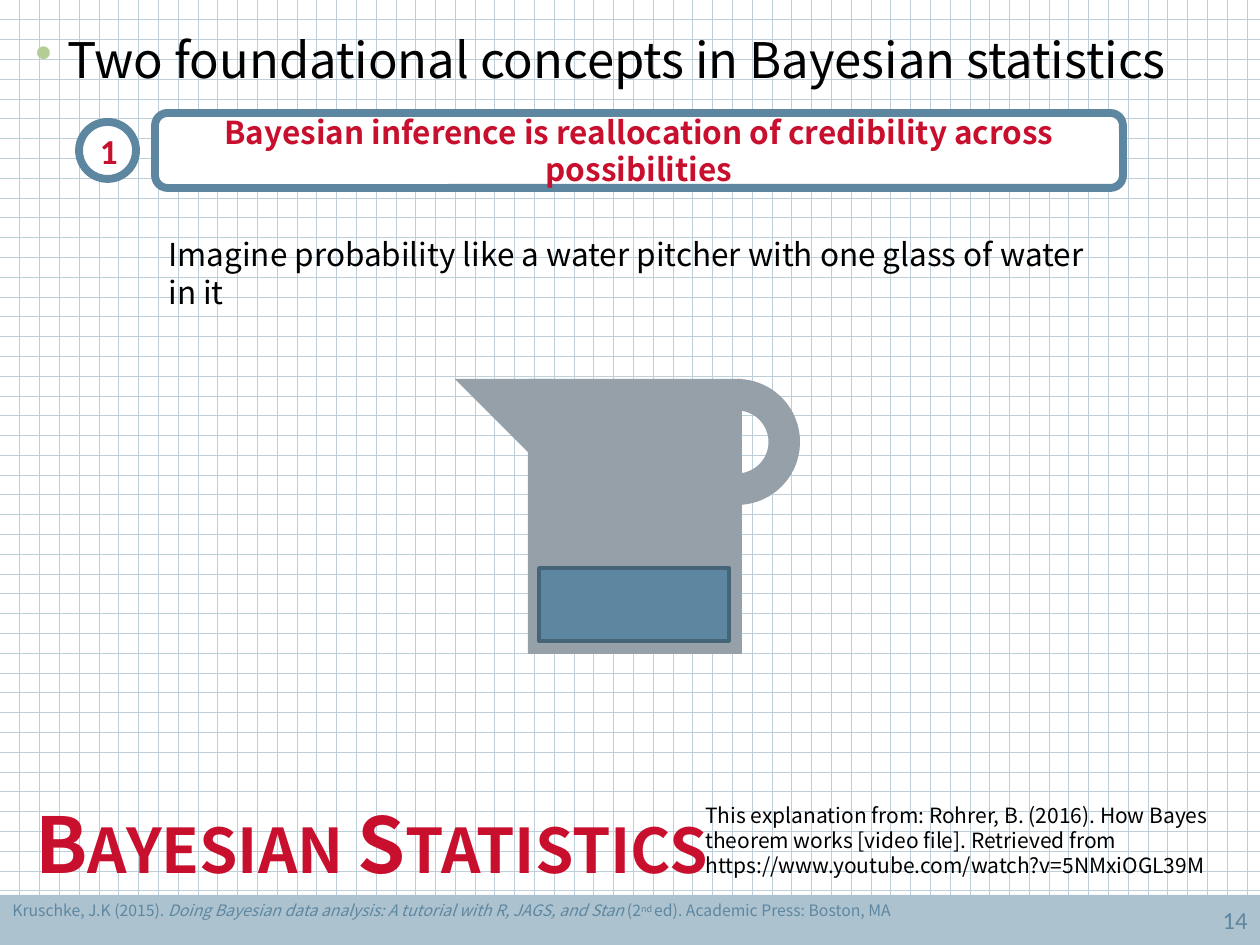
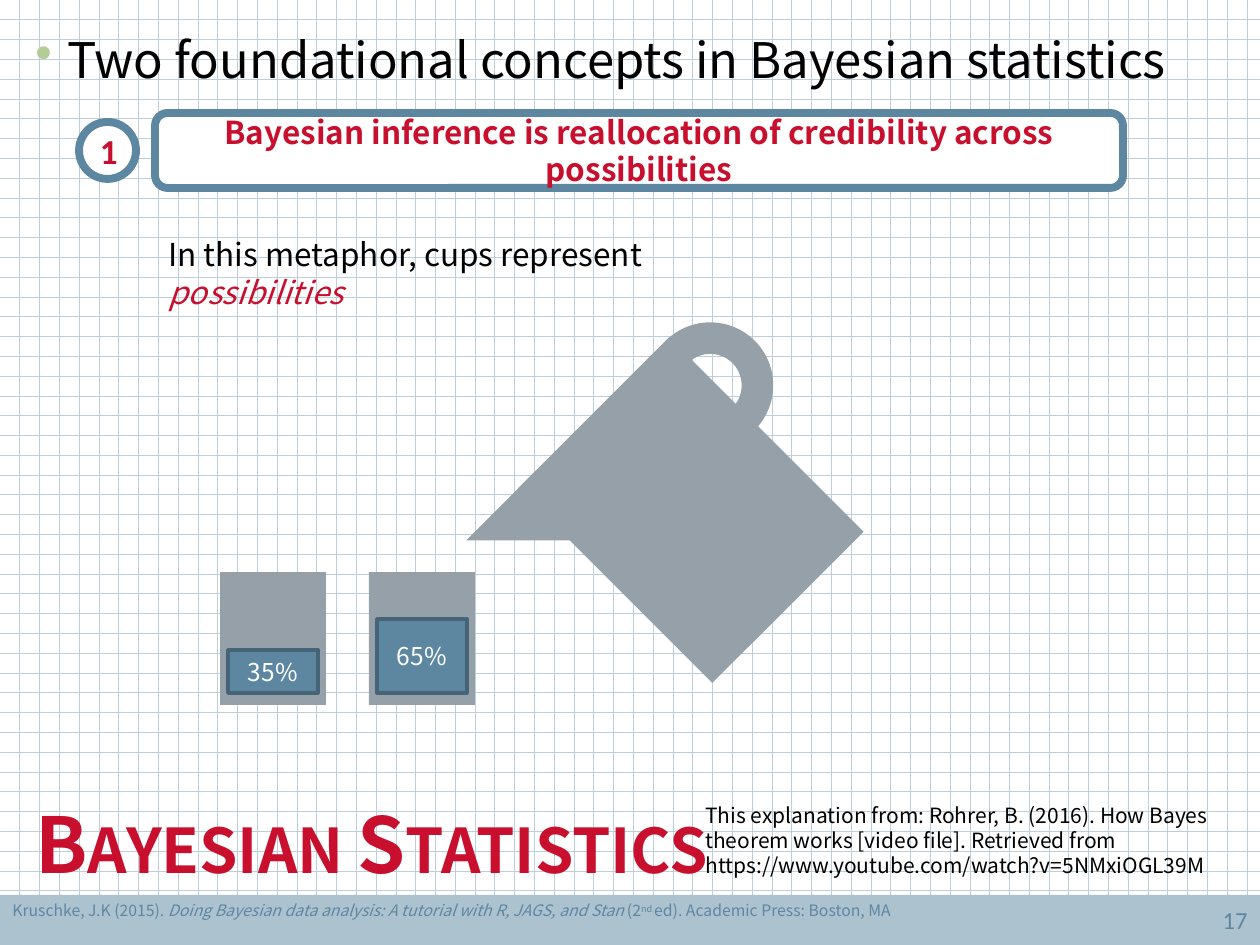
from lxml import etree
from pptx import Presentation
from pptx.dml.color import RGBColor
from pptx.enum.dml import MSO_PATTERN
from pptx.enum.shapes import MSO_SHAPE
from pptx.enum.text import MSO_ANCHOR, PP_ALIGN
from pptx.oxml.ns import qn
from pptx.util import Pt

PX = 7257
RECTANGLE = MSO_SHAPE.RECTANGLE
ROUNDED = MSO_SHAPE.ROUNDED_RECTANGLE
OVAL = MSO_SHAPE.OVAL
TRIANGLE = MSO_SHAPE.RIGHT_TRIANGLE
ARC = MSO_SHAPE.BLOCK_ARC
DOTTED_GRID = MSO_PATTERN.DOTTED_GRID
TOP, MIDDLE = MSO_ANCHOR.TOP, MSO_ANCHOR.MIDDLE
LEFT, CENTER, RIGHT = PP_ALIGN.LEFT, PP_ALIGN.CENTER, PP_ALIGN.RIGHT

SANS = "Noto Sans CJK KR"
NUMBER_FONT = "Calibri"
BLACK, WHITE, RED = "000000", "FFFFFF", "C8102E"
BLUE, DARK_BLUE, GREY = "5D87A1", "456477", "95A0A9"
GRID_BLUE, BULLET_GREEN = "BECFDA", "B4CC95"


def draw(shapes, kind, box, fill, line=None, line_width=2, rotation=0):
    shape = shapes.add_shape(kind, *[length * PX for length in box])
    shape.shadow.inherit = False
    shape.rotation = rotation
    shape.fill.solid()
    shape.fill.fore_color.rgb = RGBColor.from_string(fill)
    if line:
        shape.line.color.rgb = RGBColor.from_string(line)
        shape.line.width = Pt(line_width)
    else:
        shape.line.fill.background()
    return shape


def write(shape, text, size, color=BLACK, font=SANS, bold=False, small_caps=False,
          align=LEFT, anchor=TOP, bullet=None):
    frame = shape.text_frame
    frame.word_wrap = True
    frame.vertical_anchor = anchor
    paragraph = frame.paragraphs[0]
    paragraph.alignment = align
    paragraph.line_spacing = Pt(round(size * 1.2, 1))
    if bullet:
        properties = paragraph._p.get_or_add_pPr()
        properties.set("marL", str(32 * PX))
        properties.set("indent", str(-32 * PX))
        bullet_color = etree.SubElement(properties, qn("a:buClr"))
        etree.SubElement(bullet_color, qn("a:srgbClr"), val=bullet)
        etree.SubElement(properties, qn("a:buChar"), char="•")
    parts = [(text, {})] if isinstance(text, str) else text
    for words, style in parts:
        run = paragraph.add_run()
        run.text = words
        run.font.name = font
        run.font.size = Pt(size)
        run.font.bold = bold
        run.font.italic = style.get("italic", False)
        run.font.color.rgb = RGBColor.from_string(style.get("color", color))
        if small_caps:
            run.font._element.set("cap", "small")
        if "baseline" in style:
            run.font._element.set("baseline", style["baseline"])


reference = [
    ("Kruschke, J.K (2015). ", {}),
    ("Doing Bayesian data analysis: A tutorial with R, JAGS, and Stan ", {"italic": True}),
    ("(2", {}),
    ("nd ", {"baseline": "30000"}),
    ("ed). Academic Press: Boston, MA", {}),
]
shared_texts = [
    ((23, 23, 1214, 767), "Two foundational concepts in Bayesian statistics",
     {"size": 28, "bullet": BULLET_GREEN}),
    ((23, 790, 1214, 106), "Bayesian Statistics",
     {"size": 44, "color": RED, "bold": True, "small_caps": True}),
    ((0, 895, 1012, 32), reference, {"size": 9, "color": BLUE}),
    ((693, 796, 554, 90),
     "This explanation from: Rohrer, B. (2016). How Bayes theorem works [video file]. "
     "Retrieved from https://www.youtube.com/watch?v=5NMxiOGL39M", {"size": 12}),
]
slides = [
    {"number": "14", "message_width": 956,
     "message": "Imagine probability like a water pitcher with one glass of water in it",
     "pitcher": (455, 379), "rotation": 0, "water": True, "cups": []},
    {"number": "17", "message_width": 641,
     "message": [("In this metaphor, cups represent ", {}),
                 ("possibilities", {"color": RED, "italic": True})],
     "pitcher": (513, 378), "rotation": 315, "water": False,
     "cups": [(369, "65%", 74), (220, "35%", 43)]},
]

presentation = Presentation()
presentation.slide_width = 1260 * PX
presentation.slide_height = 945 * PX

for content in slides:
    slide = presentation.slides.add_slide(presentation.slide_layouts[6])
    shapes = slide.shapes

    grid = draw(shapes, RECTANGLE, (0, 0, 1260, 895), WHITE)
    grid.fill.patterned()
    grid.fill.pattern = DOTTED_GRID
    grid.fill.fore_color.rgb = RGBColor.from_string(GRID_BLUE)
    grid.fill.back_color.rgb = RGBColor.from_string(WHITE)

    band = draw(shapes, RECTANGLE, (0, 895, 1260, 50), BLUE)
    band_color = band._element.spPr.find(qn("a:solidFill")).find(qn("a:srgbClr"))
    etree.SubElement(band_color, qn("a:alpha"), val="50000")

    texts = shared_texts + [
        ((966, 895, 294, 50), content["number"],
         {"size": 14, "color": BLUE, "font": NUMBER_FONT, "align": RIGHT, "anchor": MIDDLE}),
        ((156, 229, content["message_width"], 88), content["message"], {"size": 18}),
    ]
    for box, text, style in texts:
        write(shapes.add_textbox(*[length * PX for length in box]), text, **style)

    banner = draw(shapes, ROUNDED, (155, 113, 968, 75), WHITE, BLUE, 4.5)
    write(banner, "Bayesian inference is reallocation of credibility across possibilities",
          18, RED, bold=True, align=CENTER, anchor=MIDDLE)
    badge = draw(shapes, OVAL, (79, 122, 57, 57), WHITE, BLUE, 4.5)
    write(badge, "1", 20, RED, NUMBER_FONT, bold=True, align=CENTER, anchor=MIDDLE)

    left, top = content["pitcher"]
    pitcher = shapes.add_group_shape()
    draw(pitcher.shapes, RECTANGLE, (left + 73, top, 214, 275), GREY)
    draw(pitcher.shapes, TRIANGLE, (left, top, 97, 97), GREY, rotation=180)
    draw(pitcher.shapes, ARC, (left + 219, top, 126, 126), GREY, rotation=90)
    if content["water"]:
        draw(pitcher.shapes, RECTANGLE, (left + 84, top + 189, 190, 73), BLUE, DARK_BLUE)
    pitcher.rotation = content["rotation"]

    for cup_left, share, water_height in content["cups"]:
        draw(shapes, RECTANGLE, (cup_left, 572, 106, 133), GREY)
        water = draw(shapes, RECTANGLE, (cup_left + 8, 693 - water_height, 90, water_height),
                     BLUE, DARK_BLUE)
        write(water, share, 14, WHITE, align=CENTER, anchor=MIDDLE)

presentation.save("out.pptx")
